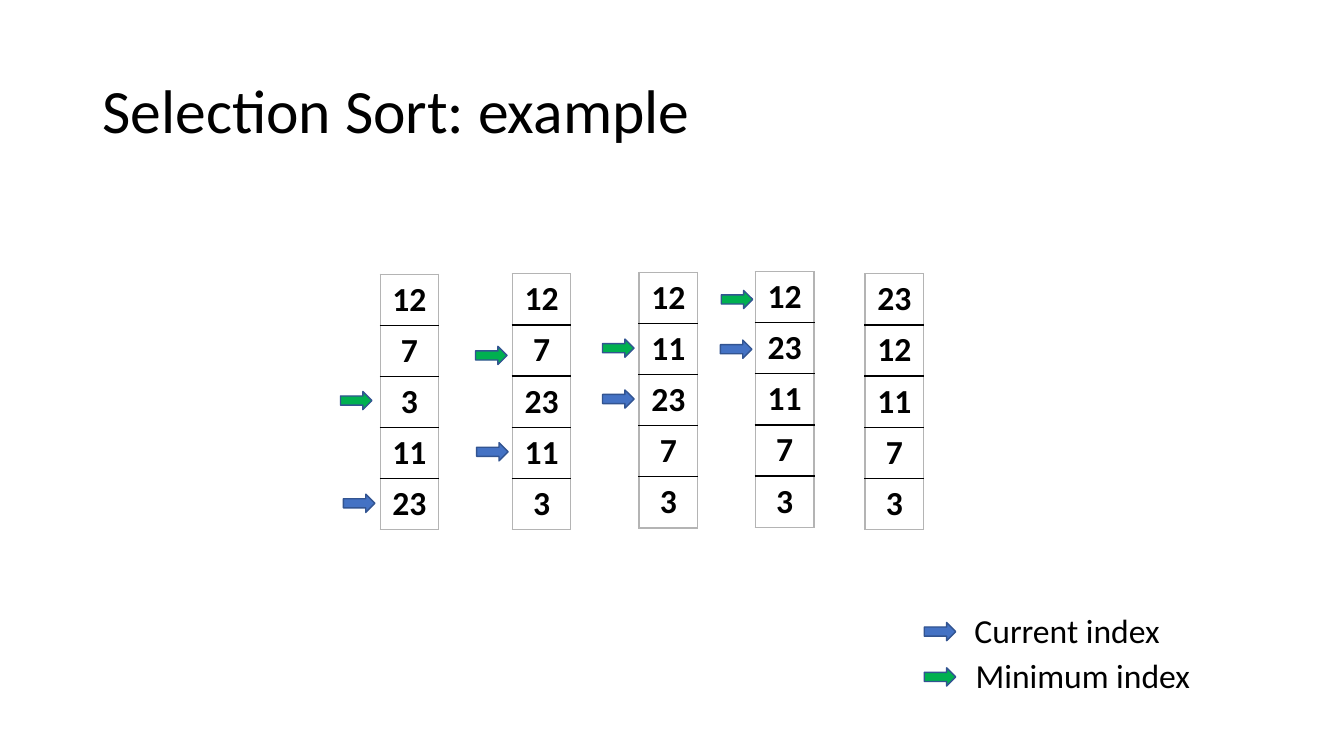
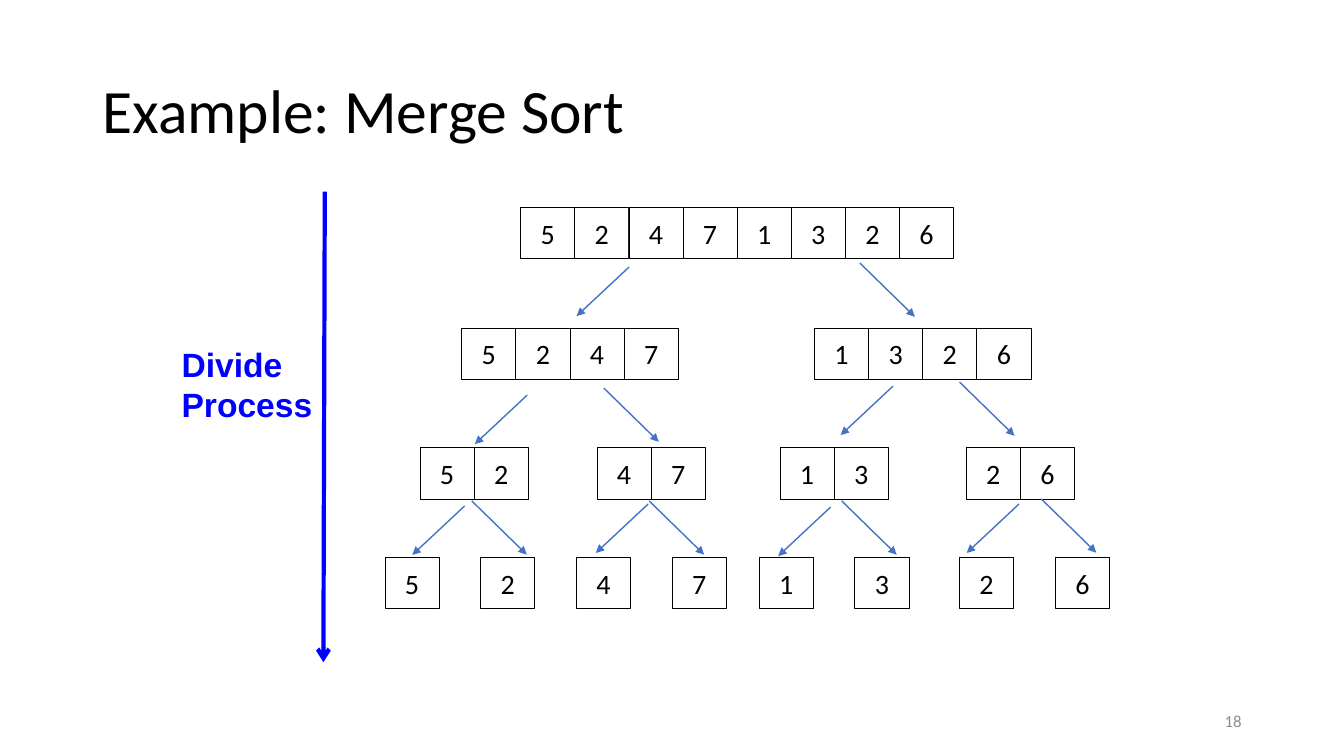
from pptx import Presentation
from pptx.dml.color import RGBColor
from pptx.enum import shapes, text
from pptx.oxml import ns, xmlchemy
from pptx.util import Pt

BLACK = RGBColor(0x00, 0x00, 0x00)
WHITE = RGBColor(0xFF, 0xFF, 0xFF)
GRAY = RGBColor(0x8C, 0x8C, 0x8C)
EDGE = RGBColor(0xB4, 0xB4, 0xB4)
BLUE = RGBColor(0x44, 0x72, 0xC4)
DARK_BLUE = RGBColor(0x32, 0x54, 0x91)
PURE_BLUE = RGBColor(0x00, 0x00, 0xFF)
GREEN = RGBColor(0x00, 0xB0, 0x50)

# Selection sort: values, left, top, row height
SORT_STEPS = [
    (["12", "7", "3", "11", "23"], 271.5, 195.8, 36.5),
    (["12", "7", "23", "11", "3"], 365.8, 195.6, 36),
    (["12", "11", "23", "7", "3"], 456.5, 194.6, 36),
    (["12", "23", "11", "7", "3"], 539.5, 194, 36),
    (["23", "12", "11", "7", "3"], 617.8, 195.6, 36),
]
COLUMN_WIDTH = 42
# Index markers: left and top, by colour
MARKERS = {
    BLUE: [(245.3, 353), (340.5, 316.2), (430.4, 278.5), (514.6, 242.9)],
    GREEN: [(243.2, 279.6), (339.7, 247.4), (430.4, 242.2), (515.2, 207.4)],
}
LEGEND = [("Current index", BLUE, 689, 432), ("Minimum index", GREEN, 689.8, 464.4)]
MARKER_SIZE = (22.5, 13)

# Merge sort: values, left and, where the group splits, starts of both arrows
MERGE_LEVELS = [
    (148.2, [("52471326", 371.9, (449.3, 190.8), (614.2, 187.9))]),
    (234.2, [("5247", 329.8, (376.6, 282.2), (431.3, 277.2)),
             ("1326", 581.8, (637.9, 275.8), (685.4, 272.9))]),
    (319.8, [("52", 300, (331.9, 361.4), (337, 357.8)),
             ("47", 426.4, (463, 360), (463.7, 357.8)),
             ("13", 557.1, (593.3, 362.2), (601.2, 357.8)),
             ("26", 690.2, (727.9, 360), (743.8, 356.4))]),
    (398, [("5", 275), ("2", 343.4), ("4", 411.8), ("7", 480.2),
           ("1", 542.2), ("3", 610.6), ("2", 685.4), ("6", 753.8)]),
]
CELL_WIDTH, CELL_HEIGHT = 38.65, 36.7
SPLIT_STEPS = [(-37.4, 35), (39.3, 38.4)]


def write(frame, content, size=24, color=BLACK, font="Calibri", bold=False,
          align=text.PP_ALIGN.LEFT, anchor=text.MSO_ANCHOR.TOP, spacing=None):
    frame.word_wrap = True
    frame.vertical_anchor = anchor
    frame.text = content
    for paragraph in frame.paragraphs:
        paragraph.alignment = align
        paragraph.line_spacing = spacing
        paragraph.font.size = Pt(size)
        paragraph.font.name = font
        paragraph.font.bold = bold
        paragraph.font.color.rgb = color


def add_text(slide, content, left, top, width, height, **style):
    box = slide.shapes.add_textbox(Pt(left), Pt(top), Pt(width), Pt(height))
    write(box.text_frame, content, **style)


def add_box(slide, kind, left, top, width, height, fill, line, line_width):
    shape = slide.shapes.add_shape(kind, Pt(left), Pt(top), Pt(width), Pt(height))
    shape.shadow.inherit = False
    shape.fill.solid()
    shape.fill.fore_color.rgb = fill
    shape.line.color.rgb = line
    shape.line.width = Pt(line_width)
    return shape


def add_marker(slide, left, top, color):
    add_box(slide, shapes.MSO_SHAPE.RIGHT_ARROW, left, top, *MARKER_SIZE,
            color, DARK_BLUE, 1)


def add_element(parent, tag, **attributes):
    element = xmlchemy.OxmlElement(tag)
    for name, value in attributes.items():
        element.set(name, value)
    parent.append(element)
    return element


def add_arrow(slide, start, end, color=BLUE, width=1, head="triangle"):
    points = [Pt(value) for value in (*start, *end)]
    arrow = slide.shapes.add_connector(shapes.MSO_CONNECTOR.STRAIGHT, *points)
    arrow.line.color.rgb = color
    arrow.line.width = Pt(width)
    properties = arrow.element.spPr
    add_element(properties.find(ns.qn("a:ln")), "a:tailEnd", type=head)
    add_element(properties, "a:effectLst")


def set_border(cell, side, color):
    line = add_element(cell._tc.get_or_add_tcPr(), f"a:ln{side}", w=str(Pt(1)))
    add_element(add_element(line, "a:solidFill"), "a:srgbClr", val=str(color))


def add_column(slide, values, left, top, row_height):
    last = len(values) - 1
    table = slide.shapes.add_table(
        len(values), 1, Pt(left), Pt(top), Pt(COLUMN_WIDTH),
        Pt(row_height * len(values))).table
    table.first_row = table.horz_banding = False
    for row, value in enumerate(values):
        table.rows[row].height = Pt(row_height)
        cell = table.cell(row, 0)
        for side, color in (("L", EDGE), ("R", EDGE),
                            ("T", BLACK if row else EDGE),
                            ("B", BLACK if row < last else EDGE)):
            set_border(cell, side, color)
        cell.fill.background()
        write(cell.text_frame, value, bold=True, align=text.PP_ALIGN.CENTER)


def add_slide(presentation, heading):
    slide = presentation.slides.add_slide(presentation.slide_layouts[5])
    title = slide.shapes.title
    title.left, title.top, title.width, title.height = Pt(66), Pt(28.8), Pt(828), Pt(104.4)
    write(title.text_frame, heading, size=44, anchor=text.MSO_ANCHOR.MIDDLE, spacing=0.9)
    return slide


def build_selection_sort(presentation):
    slide = add_slide(presentation, "Selection Sort: example")
    for step in SORT_STEPS:
        add_column(slide, *step)
    for color, places in MARKERS.items():
        for left, top in places:
            add_marker(slide, left, top, color)
    # Legend
    for label, color, left, top in LEGEND:
        add_marker(slide, 660.2, top + 12.6, color)
        add_text(slide, label, left, top, 180, 36)


def build_merge_sort(presentation):
    slide = add_slide(presentation, "Example: Merge Sort")
    # Direction of the process
    add_arrow(slide, (232, 136.8), (231, 473), PURE_BLUE, 3, "arrow")
    add_text(slide, "Divide\nProcess", 122.6, 241.9, 120, 65.5,
             color=PURE_BLUE, font="Arial", bold=True)
    # Tree of groups
    for top, groups in MERGE_LEVELS:
        for values, left, *starts in groups:
            for column, value in enumerate(values):
                box = add_box(slide, shapes.MSO_SHAPE.RECTANGLE,
                              left + column * CELL_WIDTH, top, CELL_WIDTH, CELL_HEIGHT,
                              WHITE, BLACK, 0.5)
                write(box.text_frame, value, size=20, align=text.PP_ALIGN.CENTER,
                      anchor=text.MSO_ANCHOR.MIDDLE)
            for (x, y), (dx, dy) in zip(starts, SPLIT_STEPS):
                add_arrow(slide, (x, y), (x + dx, y + dy))
    # Slide number
    add_text(slide, "18", 678, 500.5, 216, 28.8, size=12, color=GRAY,
             align=text.PP_ALIGN.RIGHT, anchor=text.MSO_ANCHOR.MIDDLE)


def main():
    presentation = Presentation()
    presentation.slide_width, presentation.slide_height = Pt(960), Pt(540)
    build_selection_sort(presentation)
    build_merge_sort(presentation)
    presentation.save("out.pptx")


if __name__ == "__main__":
    main()
